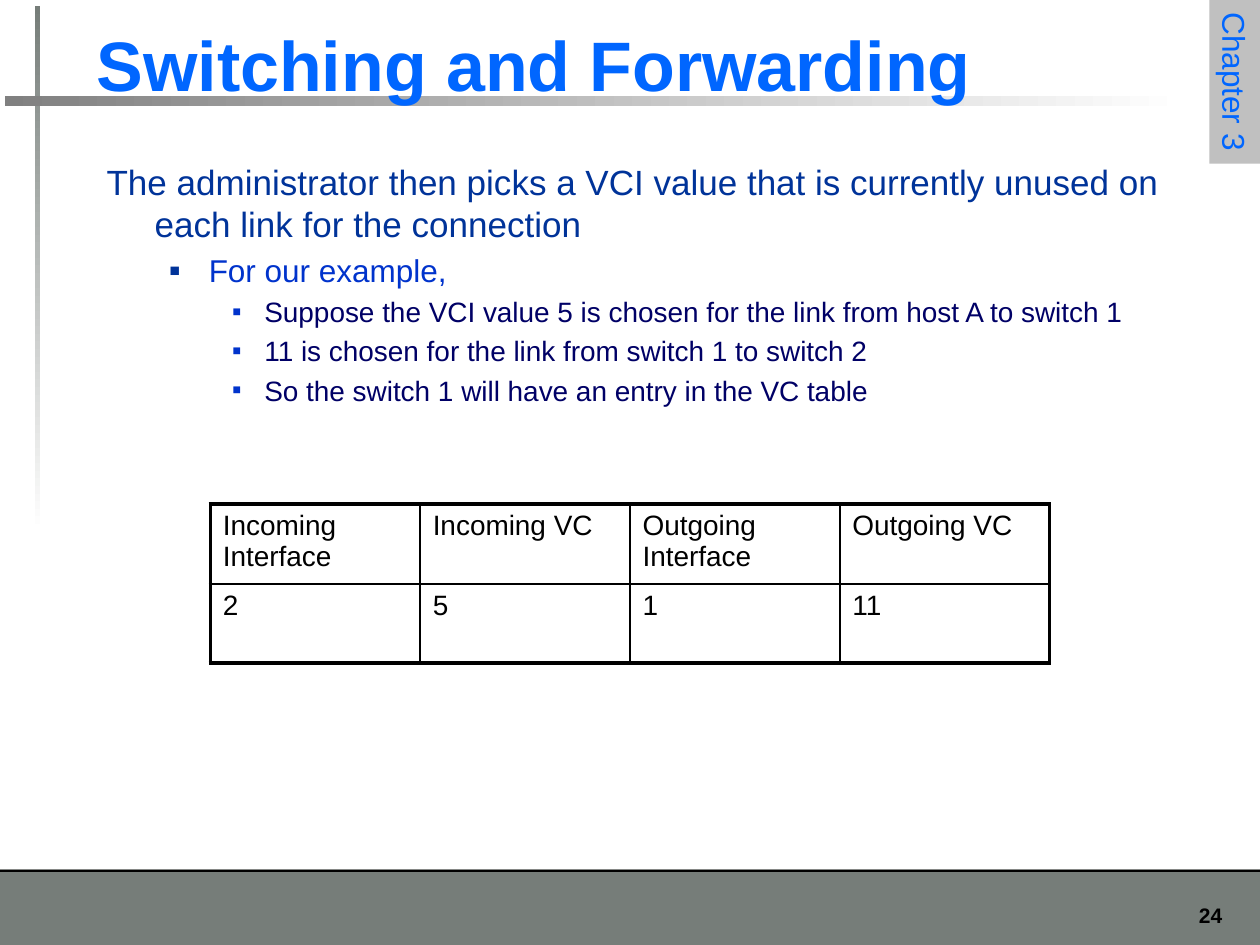
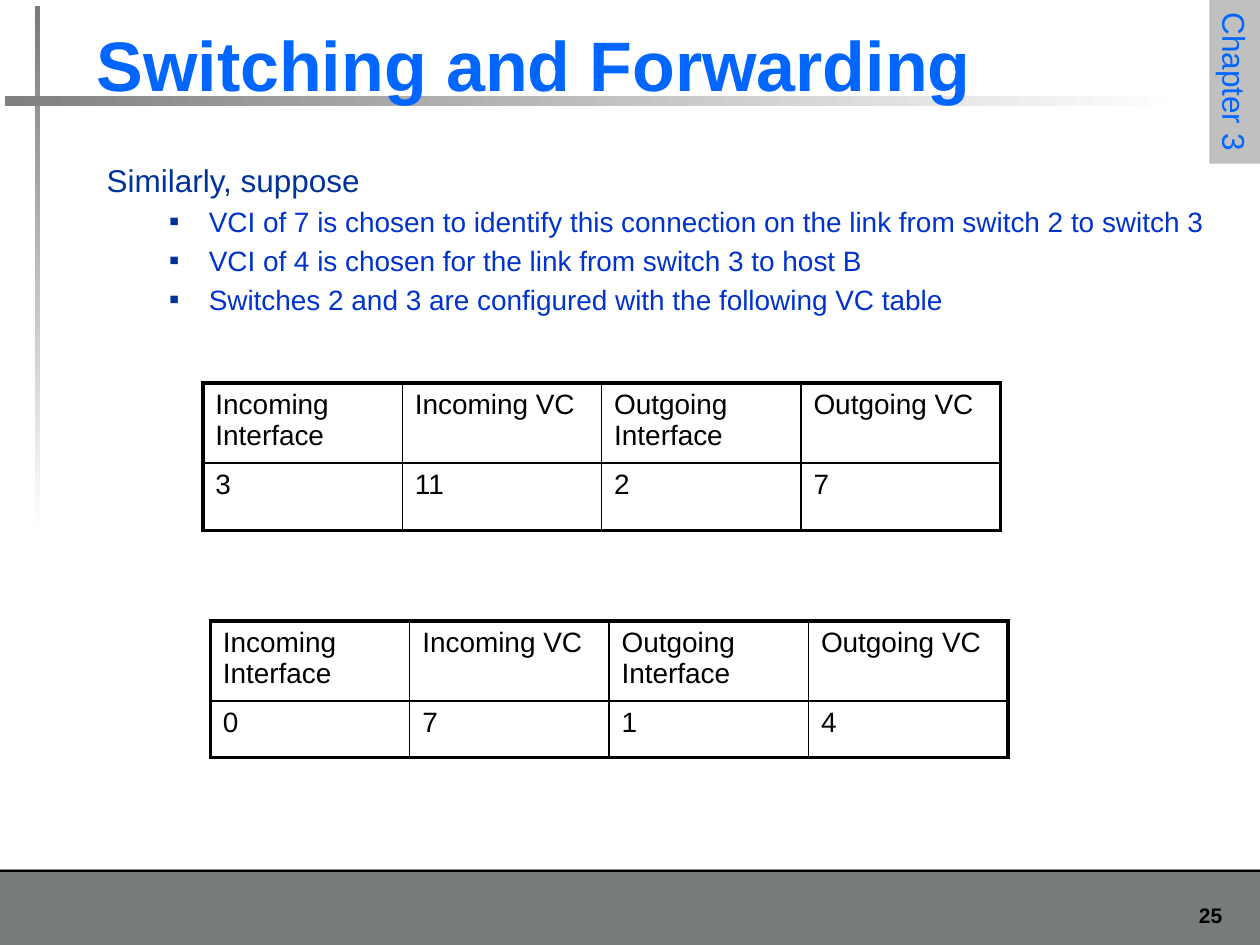
from lxml.etree import SubElement
from pptx import Presentation
from pptx.dml.color import RGBColor
from pptx.enum.shapes import MSO_SHAPE
from pptx.enum.text import MSO_ANCHOR, PP_ALIGN
from pptx.oxml.ns import qn
from pptx.util import Cm, Pt

FONT = "Arial"
BLACK = "000000"
WHITE = "FFFFFF"
FOOTER_GREY = "767D79"
RULE_GREY = "808080"
TAB_GREY = "C0C0C0"
TITLE_BLUE = "0066FF"
LEVEL_COLOURS = ["003399", "0033CC", "000066"]
LEVEL_INDENTS = [(0.97, 0.97), (2.06, 0.79), (3.18, 0.64)]
BULLET_PERCENTS = [None, 55, 50]
THIN, THICK = 1, 2.25
VC_HEADINGS = ["Incoming Interface", "Incoming VC", "Outgoing Interface", "Outgoing VC"]


def colour(hex_value):
    """Return the colour for a hex string."""
    return RGBColor.from_string(hex_value)


def style(paragraph, size, hex_value, bold=False):
    """Set the font of a whole paragraph."""
    font = paragraph.font
    font.name, font.size, font.bold = FONT, Pt(size), bold
    font.color.rgb = colour(hex_value)


def add_bar(slide, left, top, width, height, fill):
    """Add a borderless rectangle with a solid fill."""
    bar = slide.shapes.add_shape(
        MSO_SHAPE.RECTANGLE, Cm(left), Cm(top), Cm(width), Cm(height))
    bar.shadow.inherit = False
    bar.line.fill.background()
    bar.fill.solid()
    bar.fill.fore_color.rgb = colour(fill)
    return bar


def add_fading_rule(slide, left, top, width, height, start, angle):
    """Add a thin bar that fades from a grey to white."""
    rule = add_bar(slide, left, top, width, height, start)
    rule.fill.gradient()
    rule.fill.gradient_angle = angle
    for stop, hex_value in zip(rule.fill.gradient_stops, (start, WHITE)):
        stop.color.rgb = colour(hex_value)


def add_text_frame(slide, left, top, width, height):
    """Add a wrapping text box and return its frame."""
    frame = slide.shapes.add_textbox(
        Cm(left), Cm(top), Cm(width), Cm(height)).text_frame
    frame.word_wrap = True
    return frame


def add_chapter_tab(slide):
    """Add the rotated chapter tab in the top right corner."""
    tab = add_bar(slide, 23.24, 1.14, 3.3, 1.02, TAB_GREY)
    tab.rotation = 90
    frame = tab.text_frame
    frame.word_wrap = False
    frame.vertical_anchor = MSO_ANCHOR.TOP
    label = frame.paragraphs[0]
    label.text = "Chapter 3"
    label.alignment = PP_ALIGN.LEFT
    style(label, 18, TITLE_BLUE)


def add_page(deck, number):
    """Add a slide with the shared bands, rules, chapter tab and title."""
    slide = deck.slides.add_slide(deck.slide_layouts[6])
    add_bar(slide, 0, 17.53, 25.4, 1.52, FOOTER_GREY)
    add_bar(slide, 0, 17.53, 25.4, 0.05, BLACK)
    page_number = add_text_frame(slide, 23.29, 18.06, 1.6, 0.76).paragraphs[0]
    page_number.text = str(number)
    page_number.alignment = PP_ALIGN.RIGHT
    style(page_number, 12, BLACK, bold=True)
    add_fading_rule(slide, 0.71, 0.13, 0.1, 10.59, FOOTER_GREY, 270)
    add_fading_rule(slide, 0.1, 1.93, 23.8, 0.2, RULE_GREY, 0)
    add_chapter_tab(slide)
    heading_frame = add_text_frame(slide, 1.7, 0.3, 23.01, 1.96)
    heading_frame.vertical_anchor = MSO_ANCHOR.BOTTOM
    heading = heading_frame.paragraphs[0]
    heading.text = "Switching and Forwarding"
    style(heading, 40, TITLE_BLUE, bold=True)
    return slide


def set_indent(paragraph, level):
    """Give a paragraph the hanging indent and bullet of its level."""
    margin, hanging = LEVEL_INDENTS[level]
    properties = paragraph._p.get_or_add_pPr()
    properties.set("marL", str(Cm(margin)))
    properties.set("indent", str(-Cm(hanging)))
    if level:
        bullet_colour = SubElement(properties, qn("a:buClr"))
        SubElement(bullet_colour, qn("a:srgbClr"), val=LEVEL_COLOURS[level - 1])
        SubElement(properties, qn("a:buSzPct"), val=str(BULLET_PERCENTS[level] * 1000))
        SubElement(properties, qn("a:buFont"), typeface=FONT)
        SubElement(properties, qn("a:buChar"), char="■")


def add_outline(slide, height, sizes, points):
    """Add the body text from (level, text) points, with one size per level."""
    frame = add_text_frame(slide, 1.9, 3.12, 22.99, height)
    for index, (level, text) in enumerate(points):
        point = frame.add_paragraph() if index else frame.paragraphs[0]
        point.text = text
        point.level = level
        set_indent(point, level)
        if index:
            point.space_before = Pt(sizes[level] * 0.2)
        style(point, sizes[level], LEVEL_COLOURS[level])


def set_borders(cell, widths):
    """Draw black borders, given widths for left, right, top and bottom."""
    properties = cell._tc.get_or_add_tcPr()
    for side, width in zip("LRTB", widths):
        border = SubElement(properties, qn(f"a:ln{side}"), w=str(Pt(width)))
        border_fill = SubElement(border, qn("a:solidFill"))
        SubElement(border_fill, qn("a:srgbClr"), val=BLACK)


def add_vc_table(slide, left, top, column_width, row_heights, entry):
    """Add a VC table with its headings and one entry."""
    rows = [VC_HEADINGS, entry]
    last_row, last_column = len(rows) - 1, len(VC_HEADINGS) - 1
    table = slide.shapes.add_table(
        len(rows), len(VC_HEADINGS), Cm(left), Cm(top),
        Cm(column_width * len(VC_HEADINGS)), Cm(sum(row_heights))).table
    table.first_row = table.horz_banding = False
    for column in table.columns:
        column.width = Cm(column_width)
    for r, (height, values) in enumerate(zip(row_heights, rows)):
        table.rows[r].height = Cm(height)
        for c, value in enumerate(values):
            cell = table.cell(r, c)
            cell.text = value
            style(cell.text_frame.paragraphs[0], 16, BLACK)
            outer_sides = (c == 0, c == last_column, r == 0, r == last_row)
            set_borders(cell, [THICK if outer else THIN for outer in outer_sides])
            cell.fill.background()


def main():
    """Build both slides and save the deck."""
    deck = Presentation()
    deck.slide_width, deck.slide_height = Cm(25.4), Cm(19.05)

    first_switch = add_page(deck, 24)
    add_outline(first_switch, 6.2, [20, 18, 16], [
        (0, "The administrator then picks a VCI value that is currently unused on "
            "each link for the connection"),
        (1, "For our example,"),
        (2, "Suppose the VCI value 5 is chosen for the link from host A to switch 1"),
        (2, "11 is chosen for the link from switch 1 to switch 2"),
        (2, "So the switch 1 will have an entry in the VC table"),
    ])
    add_vc_table(first_switch, 4.24, 10.16, 4.23, [1.6, 1.6], ["2", "5", "1", "11"])

    later_switches = add_page(deck, 25)
    add_outline(later_switches, 4.8, [18, 16], [
        (0, "Similarly, suppose"),
        (1, "VCI of 7 is chosen to identify this connection on the link from "
            "switch 2 to switch 3"),
        (1, "VCI of 4 is chosen for the link from switch 3 to host B"),
        (1, "Switches 2 and 3 are configured with the following VC table"),
    ])
    add_vc_table(later_switches, 4.09, 7.72, 4.02, [1.6, 1.37], ["3", "11", "2", "7"])
    add_vc_table(later_switches, 4.24, 12.52, 4.02, [1.6, 1.14], ["0", "7", "1", "4"])

    deck.save("out.pptx")


if __name__ == "__main__":
    main()
